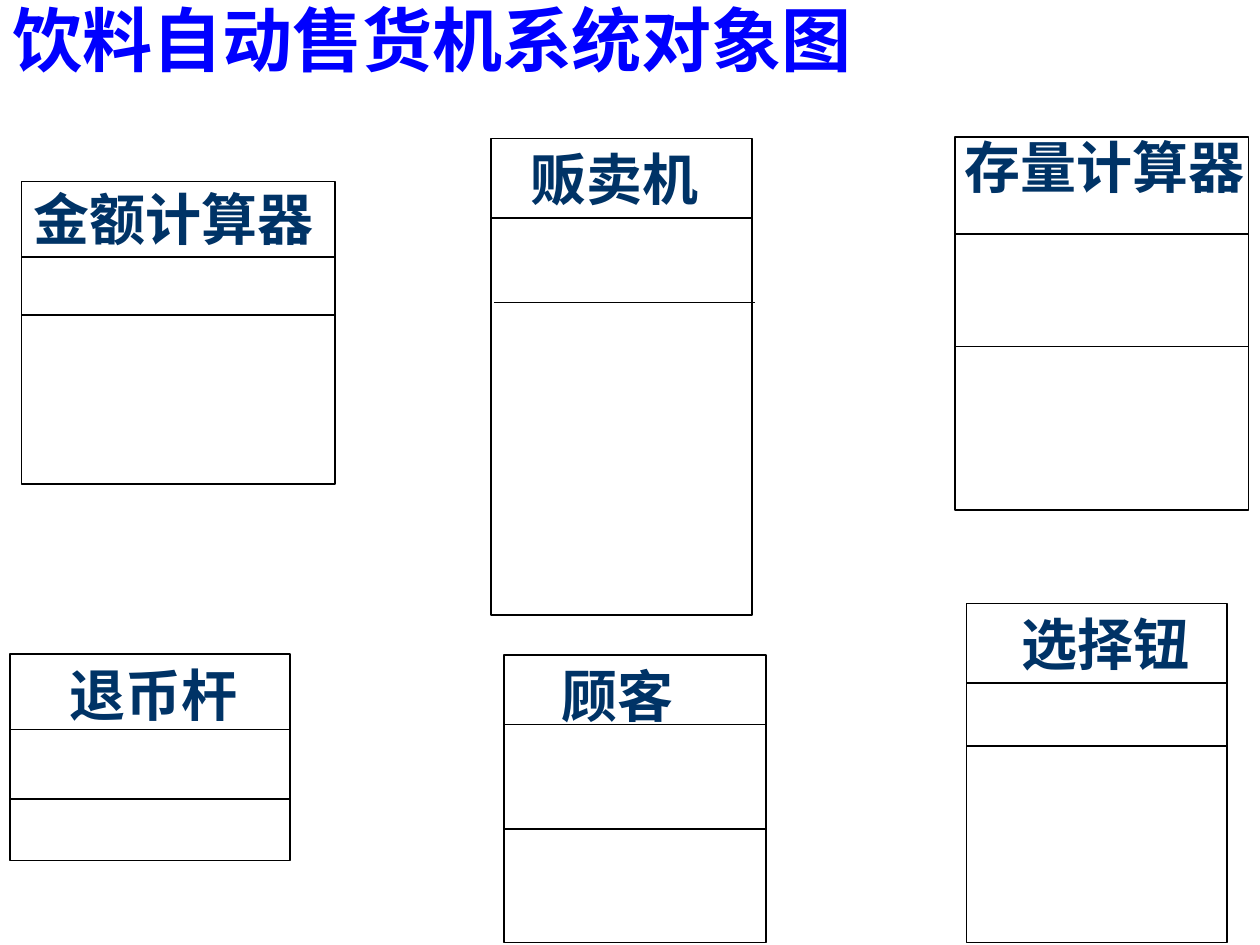
from dataclasses import dataclass

from lxml.etree import SubElement
from pptx import Presentation
from pptx.dml.color import RGBColor as Rgb
from pptx.enum.shapes import MSO_CONNECTOR as Connector, MSO_SHAPE as Shape
from pptx.enum.text import MSO_ANCHOR as Anchor, MSO_AUTO_SIZE as AutoSize, PP_ALIGN as Align
from pptx.oxml.ns import qn
from pptx.util import Inches, Pt


@dataclass(frozen=True)
class Theme:
    font: str = "Noto Sans CJK SC"
    title_color: Rgb = Rgb(0x00, 0x00, 0xFF)
    label_color: Rgb = Rgb(0x00, 0x33, 0x66)
    line_color: Rgb = Rgb(0x00, 0x00, 0x00)
    title_size: int = 40
    label_size: int = 32
    line_width: int = 1


@dataclass(frozen=True)
class ObjectBox:
    name: str
    left: float
    top: float
    width: float
    height: float
    dividers: tuple
    label_left: float
    label_top: float
    label_width: float
    lower_shift: float = 0


def write_text(frame, text, *, font, size, color, spacing=1.0):
    frame.word_wrap = True
    frame.auto_size = AutoSize.SHAPE_TO_FIT_TEXT
    frame.vertical_anchor = Anchor.MIDDLE
    frame.margin_left = frame.margin_right = Inches(0.1)
    frame.margin_top = frame.margin_bottom = Inches(0.05)
    paragraph = frame.paragraphs[0]
    paragraph.alignment = Align.LEFT
    paragraph.line_spacing = spacing
    paragraph.space_before = Pt(0)
    run = paragraph.add_run()
    run.text = text
    run.font.name = font
    run.font.size = Pt(size)
    run.font.bold = True
    run.font.color.rgb = color
    SubElement(run.font._element, qn("a:ea"), typeface=font)


class ObjectDiagram:
    """Draws an object diagram on one slide in one theme."""

    def __init__(self, slide, theme):
        self.slide = slide
        self.theme = theme

    def title(self, text, left, top, width, height):
        heading = self.slide.shapes.title
        heading.left, heading.top = Inches(left), Inches(top)
        heading.width, heading.height = Inches(width), Inches(height)
        write_text(heading.text_frame, text, font=self.theme.font, size=self.theme.title_size,
                   color=self.theme.title_color, spacing=0.9)

    def outline(self, left, top, width, height):
        border = self.slide.shapes.add_shape(
            Shape.RECTANGLE, Inches(left), Inches(top), Inches(width), Inches(height))
        border.shadow.inherit = False
        border.fill.background()
        self.stroke(border.line)

    def divider(self, left, y, width):
        rule = self.slide.shapes.add_connector(
            Connector.STRAIGHT, Inches(left), Inches(y), Inches(left + width), Inches(y))
        SubElement(rule._element.spPr, qn("a:effectLst"))
        self.stroke(rule.line)

    def stroke(self, line):
        line.color.rgb = self.theme.line_color
        line.width = Pt(self.theme.line_width)

    def label(self, text, left, top, width):
        caption = self.slide.shapes.add_textbox(
            Inches(left), Inches(top), Inches(width), Inches(0.63))
        write_text(caption.text_frame, text, font=self.theme.font, size=self.theme.label_size,
                   color=self.theme.label_color)

    def object_box(self, box):
        upper, lower = box.dividers
        self.outline(box.left, box.top, box.width, box.height)
        self.divider(box.left + box.lower_shift, lower, box.width)
        self.label(box.name, box.label_left, box.label_top, box.label_width)
        self.divider(box.left, upper, box.width)


OBJECTS = (
    ObjectBox("贩卖机", 3.9, 1.1, 2.07, 3.78, (1.73, 2.4), 4.11, 1.1, 1.73, lower_shift=0.02),
    ObjectBox("存量计算器", 7.58, 1.09, 2.33, 2.96, (1.86, 2.75), 7.56, 1.0, 2.83),
    ObjectBox("选择钮", 7.67, 4.79, 2.07, 2.69, (5.42, 5.92), 8.01, 4.79, 2.49),
    ObjectBox("顾客", 4.0, 5.2, 2.08, 2.28, (5.75, 6.58), 4.36, 5.2, 2.05),
    ObjectBox("退币杆", 0.08, 5.19, 2.22, 1.64, (5.79, 6.34), 0.45, 5.19, 2.05),
    ObjectBox("金额计算器", 0.17, 1.44, 2.49, 2.4, (2.04, 2.5), 0.17, 1.42, 2.67),
)


def main():
    deck = Presentation()
    deck.slide_width, deck.slide_height = Inches(10), Inches(7.5)
    title_only = deck.slide_layouts[5]
    diagram = ObjectDiagram(deck.slides.add_slide(title_only), Theme())
    diagram.title("饮料自动售货机系统对象图", 0, 0, 7.27, 0.7)
    for box in OBJECTS:
        diagram.object_box(box)
    deck.save("out.pptx")


if __name__ == "__main__":
    main()
